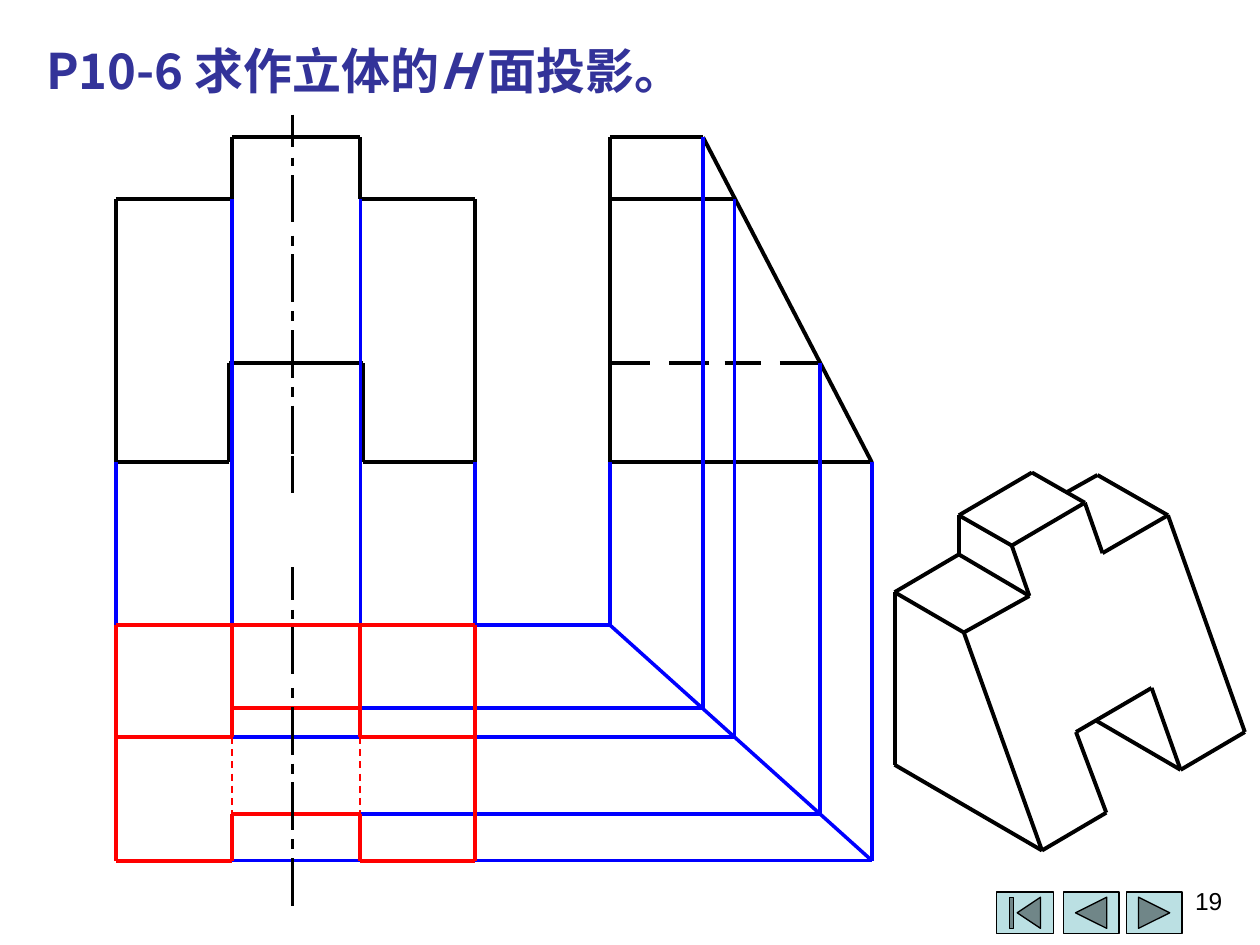
from itertools import pairwise

from lxml import etree
from pptx import Presentation
from pptx.dml.color import RGBColor
from pptx.enum import dml, shapes, text
from pptx.oxml.ns import qn
from pptx.util import Inches, Pt

BLACK = RGBColor(0x00, 0x00, 0x00)
BLUE = RGBColor(0x00, 0x00, 0xFF)
RED = RGBColor(0xFF, 0x00, 0x00)
INDIGO = RGBColor(0x33, 0x33, 0x99)
PALE_TEAL = RGBColor(0xBB, 0xE0, 0xE3)

THICK, HAIRLINE = 2.25, 0


def add_text(slide, box, runs, size=14, font="Arial", color=BLACK, bold=False,
             align=text.PP_ALIGN.LEFT):
    """Place one paragraph; runs are (wording, italic) pairs."""
    frame = slide.shapes.add_textbox(*map(Inches, box)).text_frame
    frame.word_wrap = True
    paragraph = frame.paragraphs[0]
    paragraph.alignment = align
    for wording, italic in runs:
        run = paragraph.add_run()
        run.text = wording
        run.font.size = Pt(size)
        run.font.name = font
        run.font.bold = bold
        run.font.italic = italic
        run.font.color.rgb = color
        east_asian = etree.SubElement(run.font._element, qn("a:ea"))
        east_asian.set("typeface", font)


def draw_path(slide, box, points, color=BLACK, width=THICK, dash=None):
    """Join successive points, measured from the box corner, with lines."""
    left, top = box[:2]
    for (x1, y1), (x2, y2) in pairwise(points):
        line = slide.shapes.add_connector(
            shapes.MSO_CONNECTOR.STRAIGHT,
            Inches(left + x1), Inches(top + y1),
            Inches(left + x2), Inches(top + y2))
        line.line.color.rgb = color
        line.line.width = Pt(width)
        if dash:
            line.line.dash_style = dash
        etree.SubElement(line._element.spPr, qn("a:effectLst"))


def draw_navigation(slide, box):
    """Three action buttons in a row."""
    left, top, _, height = box
    kinds = shapes.MSO_SHAPE
    for kind, offset, width in [
            (kinds.ACTION_BUTTON_BEGINNING, 0, 0.45),
            (kinds.ACTION_BUTTON_BACK_OR_PREVIOUS, 0.53, 0.44),
            (kinds.ACTION_BUTTON_FORWARD_OR_NEXT, 1.03, 0.44)]:
        button = slide.shapes.add_shape(
            kind, Inches(left + offset), Inches(top), Inches(width), Inches(height))
        button.shadow.inherit = False
        button.fill.solid()
        button.fill.fore_color.rgb = PALE_TEAL
        button.line.color.rgb = BLACK
        button.line.width = Pt(0.75)


def draw_front_view(slide, box):
    draw_path(slide, box, [
        (0, 0.49), (0.92, 0.49), (0.92, 0), (1.94, 0), (1.94, 0.49), (2.85, 0.49),
        (2.85, 2.58), (1.96, 2.58), (1.96, 1.79), (0.9, 1.79), (0.9, 2.58),
        (0, 2.58), (0, 0.49)])


def draw_side_view(slide, box):
    draw_path(slide, box, [(0, 0), (0.74, 0), (2.08, 2.58), (0, 2.58), (0, 0)])
    draw_path(slide, box, [(0, 0.49), (0.99, 0.49)])
    # Hidden edge of the notch
    for start, end in [(0, 0.32), (0.47, 0.79), (0.91, 1.2), (1.35, 1.67)]:
        draw_path(slide, box, [(start, 1.79), (end, 1.79)], width=HAIRLINE)


def draw_pictorial(slide, box):
    """Axonometric view: corners are named, edges are chains of corners."""
    corners = {
        "A": (0, 0.95), "B": (0, 2.32), "C": (1.17, 3), "D": (0.55, 1.27),
        "E": (1.07, 0.98), "F": (0.93, 0.58), "G": (1.51, 0.24), "H": (1.09, 0),
        "I": (0.51, 0.34), "J": (0.51, 0.65), "K": (1.65, 0.64), "L": (2.17, 0.34),
        "M": (1.61, 0.02), "N": (1.36, 0.16), "O": (2.78, 2.06), "P": (2.27, 2.36),
        "Q": (2.04, 1.71), "R": (1.44, 2.06), "S": (1.68, 2.7), "T": (1.6, 1.97)}
    for chain in ["CDEFGKLOPQRSC", "DABC", "AJE", "JIF", "IHG", "NML", "TP"]:
        draw_path(slide, box, [corners[name] for name in chain])


def draw_projection_lines(slide, box):
    verticals = [  # x, top, bottom
        (0.92, 0.49, 4.55), (1.94, 0.49, 4.55), (0, 2.58, 5.74), (2.85, 2.58, 5.74),
        (3.92, 2.58, 3.87), (6, 2.58, 5.74), (4.91, 0.49, 4.76),
        (5.59, 1.79, 5.37), (4.66, 0, 4.53)]
    horizontals = [  # y, right, left
        (3.87, 3.92, 0), (5.74, 6, 0), (4.76, 4.91, 0),
        (5.37, 5.59, 0.91), (4.53, 4.66, 0.91)]
    paths = [[(x, top), (x, bottom)] for x, top, bottom in verticals]
    paths += [[(right, y), (left, y)] for y, right, left in horizontals]
    paths.append([(3.92, 3.87), (6, 5.74)])  # mitre line
    for points in paths:
        draw_path(slide, box, points, BLUE, HAIRLINE)


def draw_plan_view(slide, box):
    """The H projection that answers the exercise."""
    left, inner_left, inner_right, right = 0, 0.92, 1.94, 2.85
    back, ridge, shoulder, notch, front = 0, 0.66, 0.89, 1.5, 1.87
    columns = (left, inner_left, inner_right, right)
    draw_path(slide, box, [(x, back) for x in columns], RED)
    for x in (left, right):
        draw_path(slide, box, [(x, back), (x, shoulder), (x, front)], RED)
    for outer, inner in [(shoulder, ridge), (front, notch)]:
        draw_path(slide, box, [
            (left, outer), (inner_left, outer), (inner_left, inner),
            (inner_right, inner), (inner_right, outer), (right, outer)], RED)
    for x in (inner_left, inner_right):
        draw_path(slide, box, [(x, back), (x, ridge)], RED)
        draw_path(slide, box, [(x, shoulder), (x, notch)], RED, 1,
                  dml.MSO_LINE.DASH)


def draw_centre_line(slide, box, extra=()):
    dashes = [(0, 0.26), (0.34, 0.41), (0.48, 0.85), (0.96, 1.04), (1.11, 1.49),
              (1.56, 1.64), (1.71, 2.09), (2.16, 2.24), (2.31, 2.69), *extra]
    for start, end in dashes:
        draw_path(slide, box, [(0, start), (0, end)], width=HAIRLINE)


def main():
    presentation = Presentation()
    presentation.slide_width, presentation.slide_height = Inches(10), Inches(7.5)
    slide = presentation.slides.add_slide(presentation.slide_layouts[6])

    draw_navigation(slide, (7.91, 7.08, 1.47, 0.33))
    add_text(slide, (0.27, 0.27, 9.53, 0.57),
             [("P10-6 求作立体的", False), ("H ", True), ("面投影。", False)],
             size=28, font="Noto Sans CJK SC", color=INDIGO, bold=True)

    # Given views and the solid
    draw_front_view(slide, (0.92, 1.09, 2.85, 2.58))
    draw_side_view(slide, (4.84, 1.09, 2.08, 2.58))
    draw_pictorial(slide, (7.1, 3.75, 2.78, 3))

    # Construction and solution
    draw_projection_lines(slide, (0.92, 1.09, 6, 5.74))
    draw_plan_view(slide, (0.92, 4.96, 2.85, 1.87))
    draw_centre_line(slide, (2.32, 0.91, 0, 3), extra=[(2.71, 2.79), (2.74, 3)])
    draw_centre_line(slide, (2.32, 4.5, 0, 2.69))

    # Page number
    add_text(slide, (7.47, 6.98, 2.33, 0.52), [("19", False)],
             align=text.PP_ALIGN.RIGHT)
    presentation.save("out.pptx")


if __name__ == "__main__":
    main()
